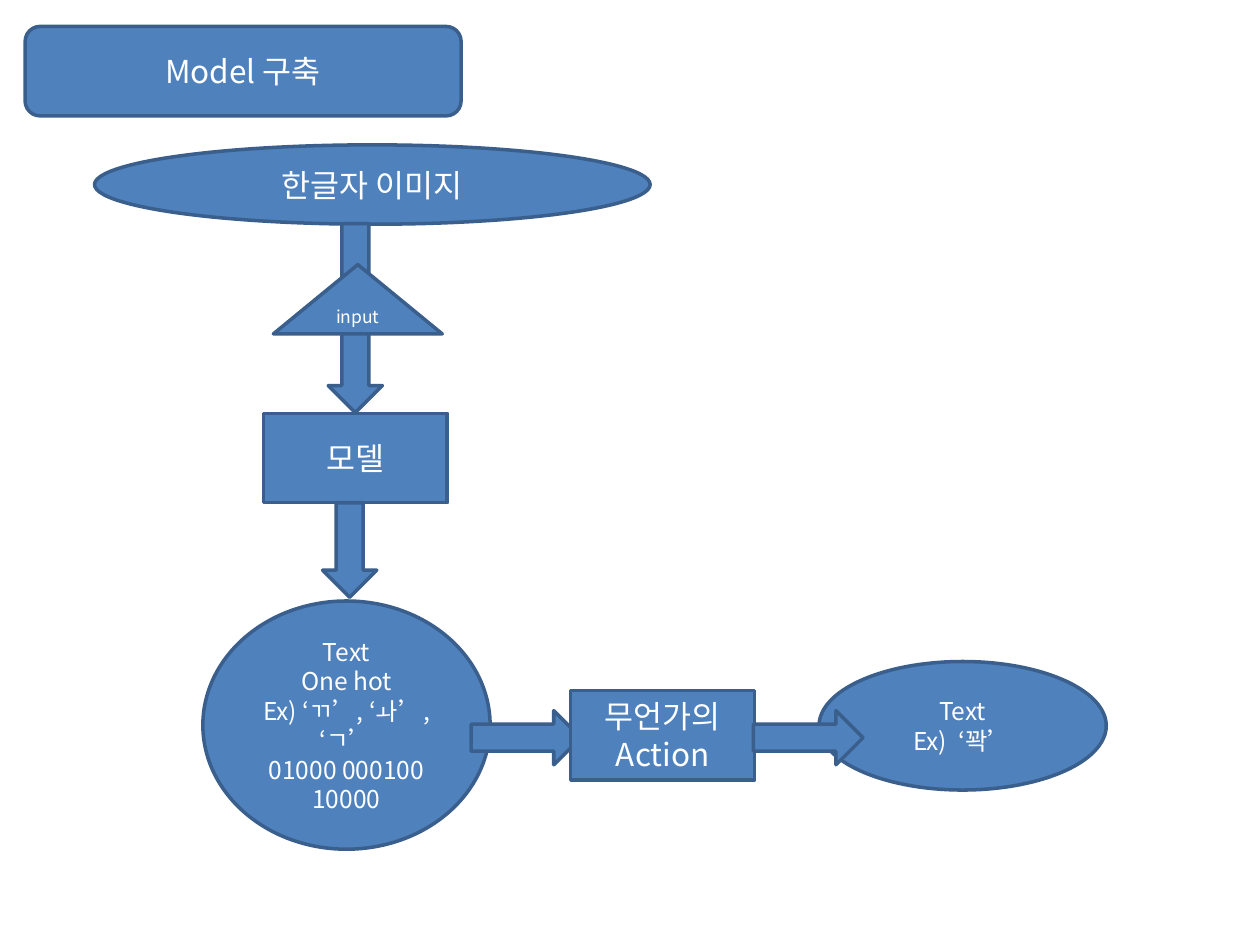
from pptx import Presentation
from pptx.dml.color import RGBColor
from pptx.enum.shapes import MSO_SHAPE
from pptx.enum.text import MSO_ANCHOR, PP_ALIGN
from pptx.oxml.ns import qn
from pptx.util import Inches, Pt

ROUNDED, RECT = MSO_SHAPE.ROUNDED_RECTANGLE, MSO_SHAPE.RECTANGLE
OVAL, TRIANGLE = MSO_SHAPE.OVAL, MSO_SHAPE.ISOSCELES_TRIANGLE
ARROW = MSO_SHAPE.RIGHT_ARROW
CENTER, MIDDLE = PP_ALIGN.CENTER, MSO_ANCHOR.MIDDLE

FONT = "Noto Sans CJK KR"
FILL, OUTLINE, WHITE = "4F81BD", "3A5F8C", "FFFFFF"
COLUMNS, ROWS = 100, 75
CELL = 0.1  # inches per grid cell
STEP = (14.6, 7.1)  # width and height of a process step
ARROW_WIDTH = 4.3


def rgb(value):
    """Turn a hex string into a colour."""
    return RGBColor.from_string(value)


def cells(count):
    """Turn a number of grid cells into a length."""
    return Inches(count * CELL)


def write(shape, *lines, size=18, color=WHITE, align=CENTER, anchor=MIDDLE):
    """Write one paragraph per line into a shape."""
    frame = shape.text_frame
    frame.word_wrap = True
    frame.vertical_anchor = anchor
    for index, line in enumerate(lines):
        paragraph = frame.add_paragraph() if index else frame.paragraphs[0]
        paragraph.alignment = align
        run = paragraph.add_run()
        run.text = line
        run.font.size = Pt(size)
        run.font.name = FONT
        run.font.color.rgb = rgb(color)
        east_asian = run.font._element.makeelement(qn("a:ea"), {"typeface": FONT})
        run.font._element.find(qn("a:latin")).addnext(east_asian)


def node(slide, box, kind, left, top, width, height):
    """Add a filled, outlined shape at a grid offset within a box."""
    shape = slide.shapes.add_shape(
        kind, cells(box[0] + left), cells(box[1] + top), cells(width), cells(height))
    shape.shadow.inherit = False
    shape.fill.solid()
    shape.fill.fore_color.rgb = rgb(FILL)
    shape.line.color.rgb = rgb(OUTLINE)
    shape.line.width = Pt(2)
    return shape


def down_arrow(slide, box, center, top, length):
    """Add an arrow pointing down, centred on a column of the box."""
    arrow = node(slide, box, ARROW, center - length / 2,
                 top + (length - ARROW_WIDTH) / 2, length, ARROW_WIDTH)
    arrow.rotation = 90


def title(slide, box):
    """Fill the box with the heading."""
    write(node(slide, box, ROUNDED, 0, 0, *box[2:]), "Model 구축")


def recognition(slide, box):
    """Stack the image, its input to the model and the model's output arrow."""
    write(node(slide, box, RECT, 13.4, 21.3, *STEP), "모델")
    write(node(slide, box, OVAL, 0, 0, box[2], 6.3), "한글자 이미지")
    down_arrow(slide, box, center=20.7, top=6.25, length=15)
    down_arrow(slide, box, center=20.25, top=28.4, length=7.5)
    write(node(slide, box, TRIANGLE, 14.2, 9.5, 13.4, 5.5), "input", size=10)


def decoding(slide, box):
    """Lead from the one hot text through an action to the final text."""
    oval_width = 22.8
    arrow_left, arrow_top, arrow_length, arrow_pitch = 21.3, 8.7, 8.7, 22.4
    write(node(slide, box, OVAL, box[2] - oval_width, 4.8, oval_width, 10.2),
          "Text", "Ex)  ‘꽉’", size=14)
    write(node(slide, box, OVAL, 0, 0, oval_width, box[3]),
          "Text", "One hot", "Ex) ‘ㄲ’, ‘ㅘ’, ‘ㄱ’", "01000 000100 10000", size=14)
    node(slide, box, ARROW, arrow_left, arrow_top, arrow_length, ARROW_WIDTH)
    write(node(slide, box, RECT, 29.2, 7.1, *STEP), "무언가의", "Action")
    node(slide, box, ARROW, arrow_left + arrow_pitch, arrow_top,
         arrow_length, ARROW_WIDTH)


def main():
    """Build the model slide."""
    deck = Presentation()
    deck.slide_width, deck.slide_height = cells(COLUMNS), cells(ROWS)
    slide = deck.slides.add_slide(deck.slide_layouts[6])
    title(slide, (2, 2.1, 34.6, 7.1))
    recognition(slide, (7.5, 11.5, 44.1, 35.9))
    decoding(slide, (16.1, 47.7, 71.7, 19.7))
    deck.save("out.pptx")


main()
